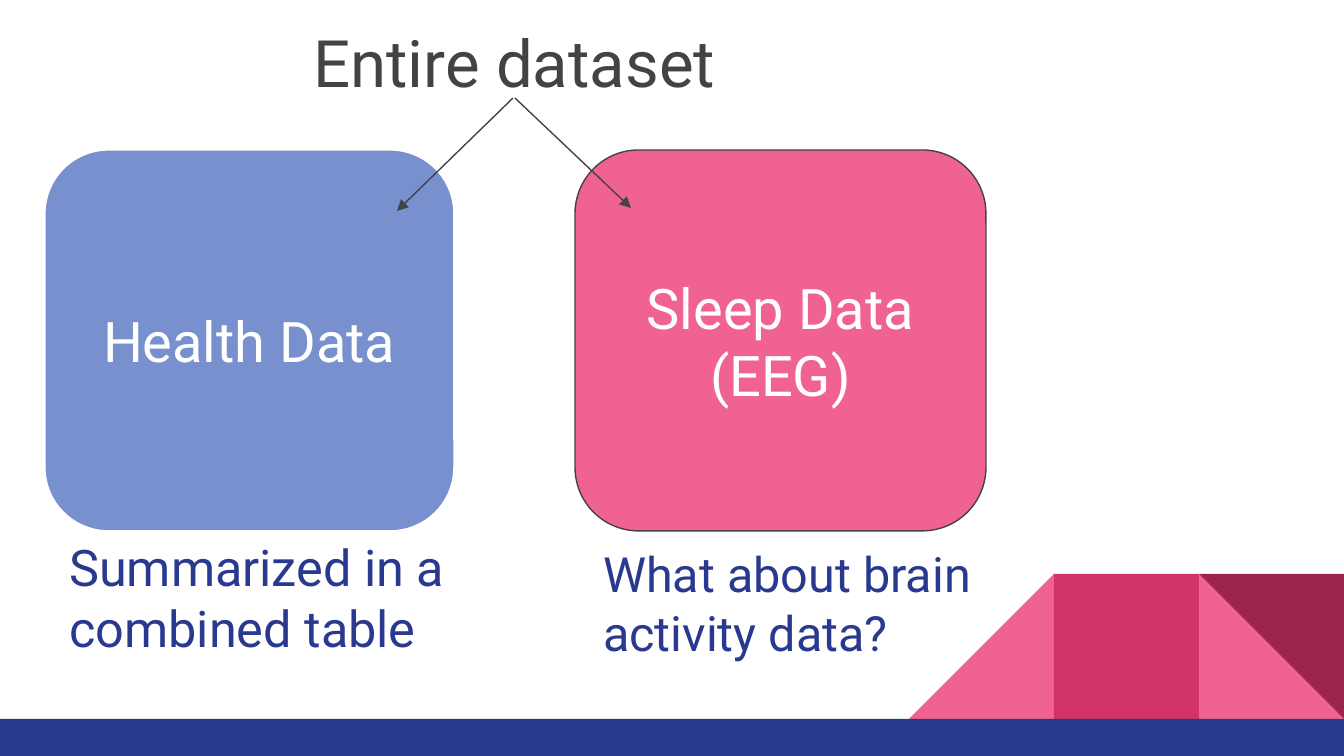
from pptx import Presentation, util as u
from pptx.dml.color import RGBColor
from pptx.enum import shapes, text
from pptx.oxml.ns import qn
from lxml import etree

WIDTH, HEIGHT = 1344, 756
SCALE = u.Inches(10) / WIDTH
COLOURS = {"white": "FFFFFF", "navy": "2A3990", "blue": "7890CD", "pink": "F06292",
           "rose": "D23369", "wine": "9C254D", "grey": "434343"}
KIND = shapes.MSO_SHAPE
LEFT, CENTRE = text.PP_ALIGN.LEFT, text.PP_ALIGN.CENTER
TOP, MIDDLE = text.MSO_ANCHOR.TOP, text.MSO_ANCHOR.MIDDLE

FLOOR, TILE = 719, 145
tiles = [
    (2, KIND.RIGHT_TRIANGLE, "pink", 0, False),
    (0, KIND.RIGHT_TRIANGLE, "pink", 0, True),
    (1, KIND.RECTANGLE, "rose", 0, False),
    (2, KIND.RIGHT_TRIANGLE, "wine", 180, False),
]
cards = [
    ((45, 150, 409, 381), "blue", "white", ["Health Data"]),
    ((575, 150, 411, 381), "pink", "grey", ["Sleep Data", "(EEG)"]),
]
labels = [
    ((56, 523, 410, 89), "Summarized in a combined table", 27, "navy", LEFT),
    ((590, 531, 422, 150), "What about brain activity data?", 26, "navy", LEFT),
    ((44, 9, 941, 89), "Entire dataset", 35, "grey", CENTRE),
]
arrows = [((513, 98), (397, 211)), ((515, 98), (631, 208))]


def px(*values):
    return [round(value * SCALE) for value in values]


def colour(name):
    return RGBColor.from_string(COLOURS[name])


def add_block(kind, area, fill, line=None):
    block = page.shapes.add_shape(kind, *px(*area))
    block.shadow.inherit = False
    block.fill.solid()
    block.fill.fore_color.rgb = colour(fill)
    if line:
        block.line.color.rgb = colour(line)
        block.line.width = u.Pt(0.75)
    else:
        block.line.fill.background()
    return block


def write(box, lines, size, ink, align, anchor):
    frame = box.text_frame
    inset = u.Inches(0.1)
    layout = {"word_wrap": True, "vertical_anchor": anchor, "margin_left": inset,
              "margin_right": inset, "margin_top": inset, "margin_bottom": inset}
    for name, value in layout.items():
        setattr(frame, name, value)
    for number, line in enumerate(lines):
        para = frame.add_paragraph() if number else frame.paragraphs[0]
        para.alignment = align
        span = para.add_run()
        span.text = line
        for name, value in {"name": "Roboto", "size": u.Pt(size)}.items():
            setattr(span.font, name, value)
        span.font.color.rgb = colour(ink)


deck = Presentation()
deck.slide_width, deck.slide_height = px(WIDTH, HEIGHT)
page = deck.slides.add_slide(deck.slide_layouts[6])

for column, kind, fill, turn, flipped in tiles:
    left = WIDTH - (3 - column) * TILE
    tile = add_block(kind, (left, FLOOR - TILE, TILE, TILE), fill)
    tile.rotation = turn
    if flipped:
        tile._element.spPr.find(qn("a:xfrm")).set("flipH", "1")
add_block(KIND.RECTANGLE, (0, FLOOR, WIDTH, HEIGHT - FLOOR), "navy")

for area, fill, line, lines in cards:
    card = add_block(KIND.ROUNDED_RECTANGLE, area, fill, line)
    card.adjustments[0] = 0.167
    write(card, lines, 30, "white", CENTRE, MIDDLE)

for area, words, size, ink, align in labels:
    box = page.shapes.add_textbox(*px(*area))
    write(box, [words], size, ink, align, TOP)

for start, end in arrows:
    arrow = page.shapes.add_connector(shapes.MSO_CONNECTOR.STRAIGHT, *px(*start, *end))
    arrow.line.color.rgb = colour("grey")
    arrow.line.width = u.Pt(0.75)
    etree.SubElement(arrow.line._get_or_add_ln(), qn("a:tailEnd"), type="triangle")
    etree.SubElement(arrow._element.spPr, qn("a:effectLst"))

deck.save("out.pptx")
